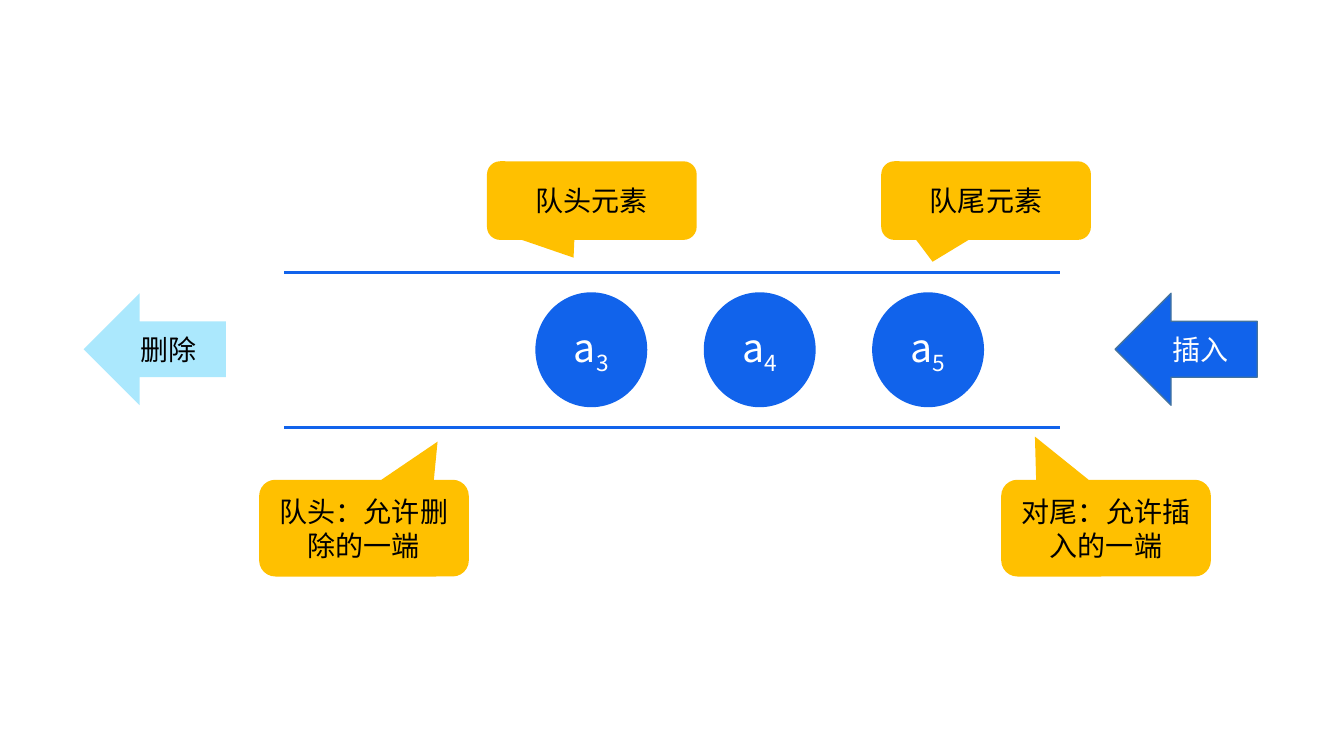
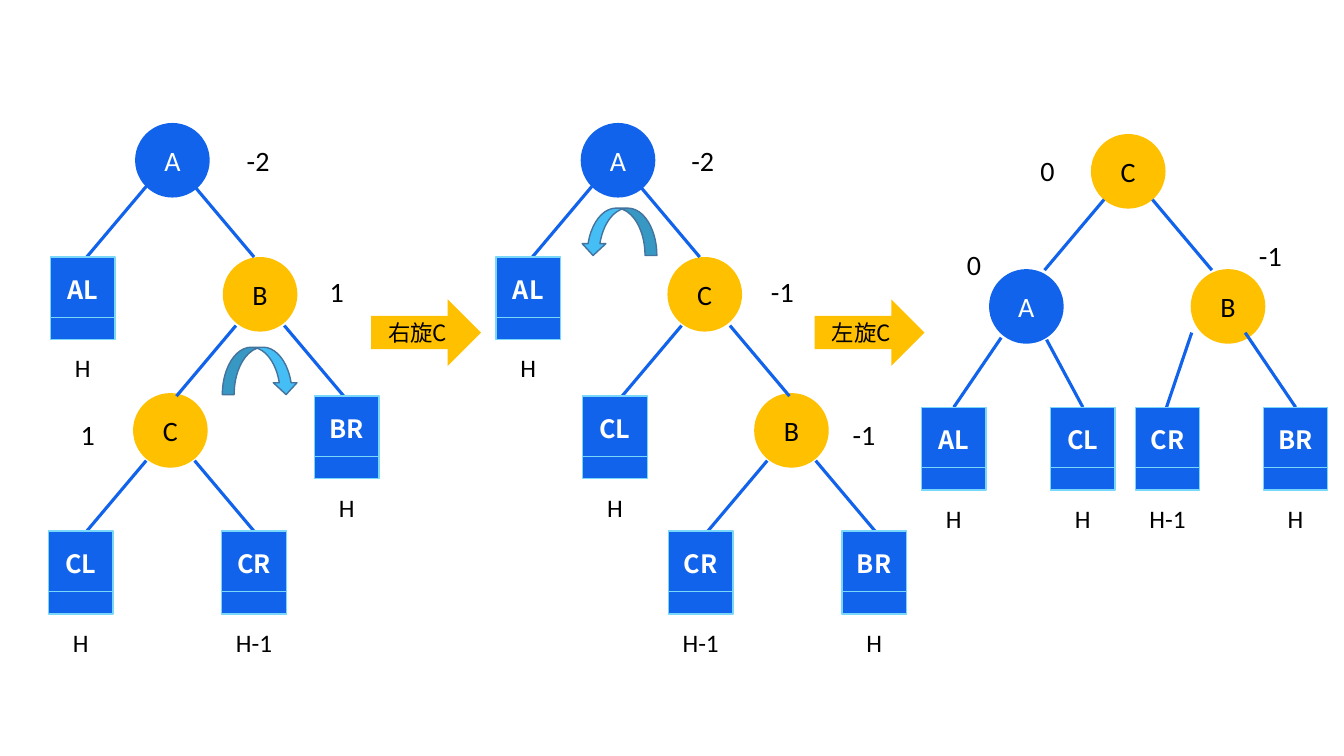
from pptx import Presentation
from pptx import util as u
from pptx.dml.color import RGBColor
from pptx.enum import shapes, text
from pptx.oxml.ns import qn
from lxml import etree

# Shared style
BLUE, GOLD, PALE, SKY = "1163EB", "FFC000", "ABE8FD", "45BEF5"
STEEL, LEAF_EDGE = "43739E", "79D7F9"
BLACK, WHITE = "000000", "FFFFFF"
LATIN, CJK = "Calibri", "Noto Sans CJK SC"
KIND = shapes.MSO_SHAPE

# Trees: positions are centres (leaves: top centre), relative to the tree's box
RIGHT_LEFT_TREE = {
    "nodes": [("A", 1.31, 0.39), ("B", 2.18, 1.72), ("C", 1.29, 3.07)],
    "branches": [(1.29, 0.65), (2.18, 2.03), (1.29, 3.37)],
    "leaves": [("AL", "H", 0.42, 1.35), ("BR", "H", 3.04, 2.73),
               ("CL", "H", 0.4, 4.07), ("CR", "H-1", 2.12, 4.07)],
    "balances": [("-2", 2.16, 0.39), ("1", 2.94, 1.69), ("1", 0.47, 3.11)],
    "turn": (2.18, 2.48, False),
}
RIGHT_RIGHT_TREE = {
    "nodes": [("A", 1.31, 0.39), ("C", 2.17, 1.72), ("B", 3.03, 3.07)],
    "branches": [(1.29, 0.65), (2.18, 2.03), (3.03, 3.37)],
    "leaves": [("AL", "H", 0.42, 1.35), ("CL", "H", 1.28, 2.73),
               ("CR", "H-1", 2.13, 4.07), ("BR", "H", 3.85, 4.07)],
    "balances": [("-2", 2.15, 0.39), ("-1", 2.94, 1.69), ("-1", 3.75, 3.11)],
    "turn": (1.32, 1.1, True),
}
BALANCED_TREE = {
    "nodes": [("C", 2.19, 0.4), ("A", 1.18, 1.74), ("B", 3.18, 1.74)],
    "branches": [(2.19, 0.68)],
    "edges": [(0.93, 2.05, 0.46, 2.74), (1.38, 2.07, 1.74, 2.74),
              (2.82, 2, 2.57, 2.74), (3.35, 2, 3.85, 2.74)],
    "leaves": [("AL", "H", 0.46, 2.74), ("CL", "H", 1.74, 2.74),
               ("CR", "H-1", 2.58, 2.74), ("BR", "H", 3.85, 2.74)],
    "balances": [("0", 0.66, 1.33), ("0", 1.39, 0.39), ("-1", 3.6, 1.24)],
}


def rgb(value):
    return RGBColor.from_string(value)


def write(shape, words, size=20, color=BLACK, font=CJK, bold=False,
          subscript="", anchor=text.MSO_ANCHOR.MIDDLE):
    frame = shape.text_frame
    frame.word_wrap = True
    frame.vertical_anchor = anchor
    paragraph = frame.paragraphs[0]
    paragraph.alignment = text.PP_ALIGN.CENTER
    for part in filter(None, (words, subscript)):
        run = paragraph.add_run()
        run.text = part
        run.font.size = u.Pt(size)
        run.font.bold = bold
        run.font.color.rgb = rgb(color)
        run.font.name = font
        properties = run.font._element
        etree.SubElement(properties, qn("a:ea")).set("typeface", CJK)
        if part is subscript:
            properties.set("baseline", "-25000")


def add_block(slide, kind, box, fill, line=None, adjustments=()):
    shape = slide.shapes.add_shape(kind, *map(u.Inches, box))
    shape.shadow.inherit = False
    shape.fill.solid()
    shape.fill.fore_color.rgb = rgb(fill)
    if line:
        shape.line.color.rgb = rgb(line)
        shape.line.width = u.Pt(1)
    else:
        shape.line.fill.background()
    for index, value in enumerate(adjustments):
        shape.adjustments[index] = value
    return shape


def add_line(slide, *ends):
    line = slide.shapes.add_connector(
        shapes.MSO_CONNECTOR.STRAIGHT, *map(u.Inches, ends))
    line.line.color.rgb = rgb(BLUE)
    line.line.width = u.Pt(2.25)
    etree.SubElement(line._element.spPr, qn("a:effectLst"))


def add_label(slide, words, center_x, center_y, **style):
    width, height = 0.74, 0.44
    label = slide.shapes.add_textbox(*map(u.Inches, (
        center_x - width / 2, center_y - height / 2, width, height)))
    write(label, words, font=LATIN, **style)


# Queue slide
def add_queue(slide, left, top, width, height):
    for y in (top, top + height):
        add_line(slide, left, y, left + width, y)
    for index, number in enumerate("345"):
        element = add_block(slide, KIND.OVAL,
                            (left + 2.49 + 1.67 * index, top + 0.2, 1.11, 1.14), BLUE)
        write(element, "a", size=28, color=WHITE, subscript=number)

    callouts = [
        ("队头元素", 2.01, -1.1, 0.78, -0.087, 0.726),
        ("队尾元素", 5.92, -1.1, 0.78, -0.255, 0.778),
        ("队头：允许删除的一端", -0.25, 2.06, 0.96, 0.351, -0.894),
        ("对尾：允许插入的一端", 7.11, 2.06, 0.96, -0.339, -0.946),
    ]
    for words, x, y, tall, tip_x, tip_y in callouts:
        callout = add_block(slide, KIND.ROUNDED_RECTANGULAR_CALLOUT,
                            (left + x, top + y, 2.08, tall), GOLD,
                            adjustments=(tip_x, tip_y, 0.167))
        write(callout, words)

    arrows = [("插入", 8.24, BLUE, STEEL, WHITE), ("删除", -1.99, PALE, None, BLACK)]
    for words, x, fill, line, color in arrows:
        arrow = add_block(slide, KIND.LEFT_ARROW,
                          (left + x, top + 0.21, 1.41, 1.11), fill, line)
        write(arrow, words, color=color)


# Rotation slide
def add_node(slide, name, center_x, center_y):
    size = 0.74
    fill, color = (BLUE, WHITE) if name == "A" else (GOLD, BLACK)
    node = add_block(slide, KIND.OVAL,
                     (center_x - size / 2, center_y - size / 2, size, size), fill)
    write(node, name, color=color, font=LATIN)


def add_leaf(slide, name, depth, center_x, top):
    width = 0.64
    left = center_x - width / 2
    body = add_block(slide, KIND.RECTANGLE, (left, top, width, 0.64), BLUE, LEAF_EDGE)
    write(body, name, size=18, color=WHITE, bold=True)
    add_block(slide, KIND.RECTANGLE, (left, top + 0.6, width, 0.22), BLUE, LEAF_EDGE)
    add_label(slide, depth, center_x, top + 1.1, size=18)


def add_turn(slide, center_x, center_y, flipped):
    width, height = 0.75, 0.47
    turn = add_block(slide, KIND.CURVED_DOWN_ARROW,
                     (center_x - width / 2, center_y - height / 2, width, height),
                     SKY, STEEL)
    if flipped:
        turn._element.spPr.get_or_add_xfrm().set("flipH", "1")


def add_tree(slide, left, top, tree):
    for name, x, y in tree["nodes"]:
        add_node(slide, name, left + x, top + y)
    for x, y in tree["branches"]:
        for side in (-1, 1):
            add_line(slide, left + x + side * 0.24, top + y,
                     left + x + side * 0.83, top + y + 0.7)
    for x1, y1, x2, y2 in tree.get("edges", ()):
        add_line(slide, left + x1, top + y1, left + x2, top + y2)
    for name, depth, x, y in tree["leaves"]:
        add_leaf(slide, name, depth, left + x, top + y)
    for balance, x, y in tree["balances"]:
        add_label(slide, balance, left + x, top + y, anchor=text.MSO_ANCHOR.TOP)
    if "turn" in tree:
        x, y, flipped = tree["turn"]
        add_turn(slide, left + x, top + y, flipped)


def add_step(slide, words, left, top):
    arrow = add_block(slide, KIND.RIGHT_ARROW, (left, top, 1.09, 0.66), GOLD)
    write(arrow, words, size=16)


def main():
    presentation = Presentation()
    presentation.slide_width = u.Inches(13.33)
    presentation.slide_height = u.Inches(7.5)
    blank = presentation.slide_layouts[6]

    queue_slide = presentation.slides.add_slide(blank)
    add_queue(queue_slide, 2.82, 2.7, 7.69, 1.54)

    rotation_slide = presentation.slides.add_slide(blank)
    add_tree(rotation_slide, 0.4, 1.2, RIGHT_LEFT_TREE)
    add_step(rotation_slide, "右旋C", 3.68, 2.97)
    add_tree(rotation_slide, 4.82, 1.2, RIGHT_RIGHT_TREE)
    add_step(rotation_slide, "左旋C", 8.08, 2.97)
    add_tree(rotation_slide, 9, 1.3, BALANCED_TREE)

    presentation.save("out.pptx")


if __name__ == "__main__":
    main()
